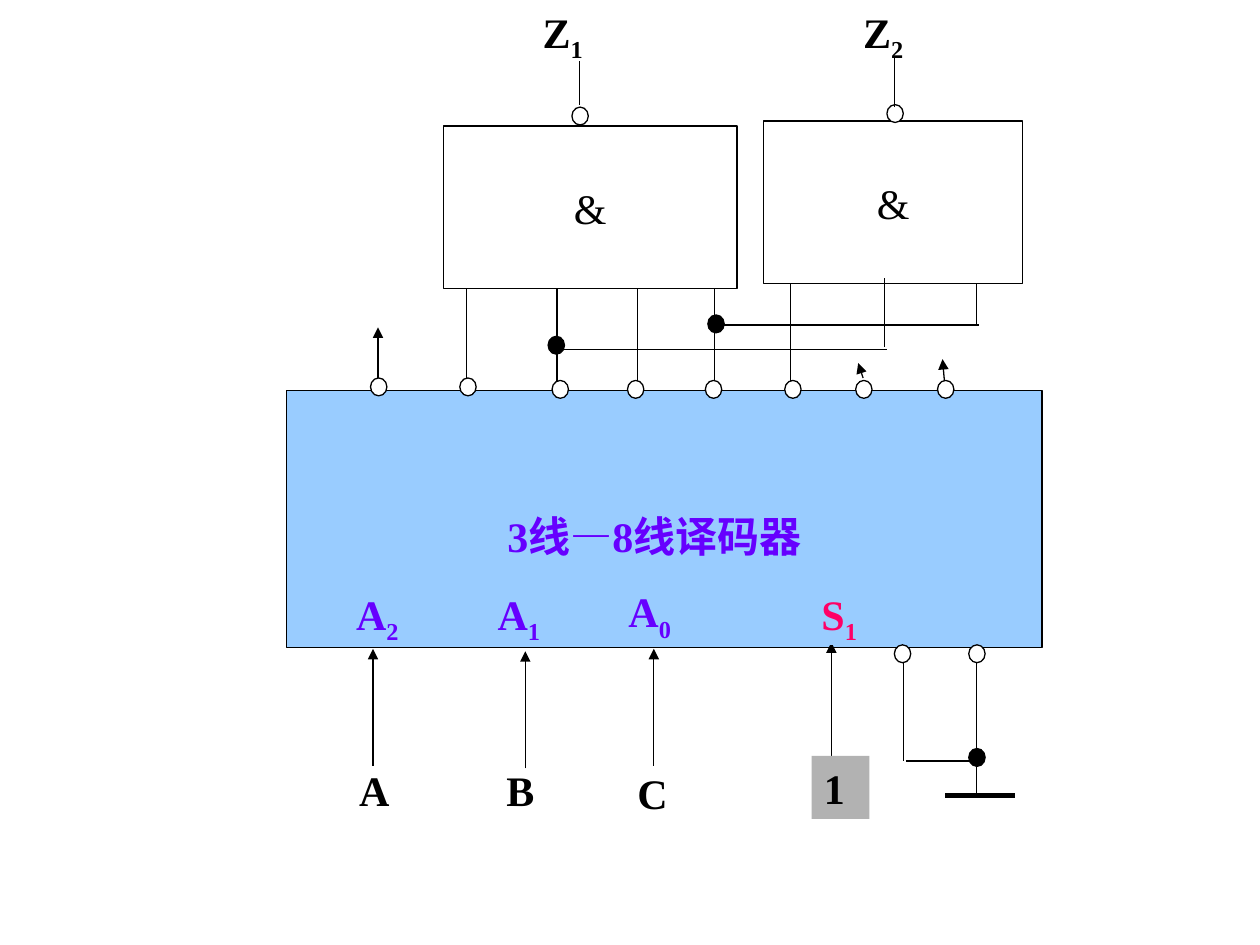
from lxml.etree import SubElement
from pptx import Presentation
from pptx.dml.color import RGBColor
from pptx.enum.shapes import MSO_CONNECTOR as Connector, MSO_SHAPE as Shape
from pptx.enum.text import MSO_ANCHOR as Anchor, PP_ALIGN as Align
from pptx.oxml.ns import qn
from pptx.util import Cm, Pt

BLACK, WHITE, SKY, GREY = "000000", "FFFFFF", "99CCFF", "B2B2B2"
VIOLET, PINK = "6600FF", "FF0066"
BUBBLE = (0.33, 0.36)
paint = RGBColor.from_string

deck = Presentation()
deck.slide_width, deck.slide_height = Cm(25.4), Cm(19.05)
page = deck.slides.add_slide(deck.slide_layouts[6])


def add_wire(x1, y1, x2, y2, arrow=False, weight=0.75):
    wire = page.shapes.add_connector(Connector.STRAIGHT, Cm(x1), Cm(y1), Cm(x2), Cm(y2))
    wire.line.color.rgb = paint(BLACK)
    wire.line.width = Pt(weight)
    if arrow:
        SubElement(wire.line._get_or_add_ln(), qn("a:tailEnd"), type="triangle")
    SubElement(wire._element.spPr, qn("a:effectLst"))


def add_box(place, text="", sub="", kind=None, fill=None, outline=False, ink=BLACK, gate=False):
    """Add a preset shape, or a text box when kind is None; sub is a subscript."""
    lengths = [Cm(value) for value in place]
    if kind is None:
        box = page.shapes.add_textbox(*lengths)
    else:
        box = page.shapes.add_shape(kind, *lengths)
        box.shadow.inherit = False
        box.fill.solid()
        box.fill.fore_color.rgb = paint(fill)
        if outline:
            box.line.color.rgb = paint(BLACK)
            box.line.width = Pt(0.75)
        else:
            box.line.fill.background()
    if not text:
        return
    frame = box.text_frame
    frame.word_wrap = not gate
    frame.vertical_anchor = Anchor.MIDDLE if gate else Anchor.TOP
    para = frame.paragraphs[0]
    para.alignment = Align.CENTER if gate else Align.LEFT
    style = {"name": "Times New Roman", "size": Pt(24), "bold": not gate}
    for part in filter(None, (text, sub)):
        span = para.add_run()
        span.text = part
        for name, value in style.items():
            setattr(span.font, name, value)
        span.font.color.rgb = paint(ink)
    if sub:
        span.font._element.set("baseline", "-25000")


# Decoder with its input and output arrows
add_box((5.77, 7.87, 15.24, 5.18), kind=Shape.RECTANGLE, fill=SKY, outline=True)
for x in (9.4, 11.23, 12.85, 14.4, 15.93):
    add_wire(x, 7.82, x, 5.46, arrow=True)
for x1, y1, x2, y2 in (
    (7.62, 7.82, 7.62, 6.6),
    (17.4, 7.62, 17.3, 7.32),
    (19.05, 7.82, 19, 7.24),
    (7.52, 15.44, 7.52, 13.08),
    (10.59, 15.49, 10.59, 13.13),
    (13.18, 15.44, 13.18, 13.08),
    (16.76, 15.34, 16.76, 12.95),
    (18.21, 15.34, 18.21, 12.95),
    (19.69, 15.98, 19.69, 13.08),
):
    add_wire(x1, y1, x2, y2, arrow=True)

# Decoder labels
add_box((9.98, 10.16, 7.14, 1.27), "3线—8线译码器", ink=VIOLET)
for digit, x, y in (("2", 6.93, 11.73), ("1", 9.78, 11.73), ("0", 12.42, 11.68)):
    add_box((x, y, 1.96, 1.27), "A", digit, ink=VIOLET)
add_box((16.31, 11.73, 1.96, 1.27), "S", "1", Shape.RECTANGLE, SKY, ink=PINK)

# Input signals
for name, x, y in (("A", 6.99, 15.29), ("B", 9.96, 15.29), ("C", 12.6, 15.34)):
    add_box((x, y, 2.06, 1.27), name)
add_box((16.36, 15.24, 1.17, 1.27), "1", kind=Shape.RECTANGLE, fill=GREY)

# AND gates and their output names
for place in ((8.94, 2.54, 5.92, 3.28), (15.39, 2.44, 5.23, 3.28)):
    add_box(place, "&", kind=Shape.RECTANGLE, fill=WHITE, outline=True, gate=True)
for digit, x in (("1", 10.69), ("2", 17.15)):
    add_box((x, 0, 3.02, 1.27), "Z", digit)

# Inversion bubbles: decoder outputs, enable inputs, gate outputs
bubbles = [(x, 7.62) for x in (7.47, 9.27)]
bubbles += [(x, 7.67) for x in (11.13, 12.65, 14.22, 15.82, 17.25, 18.9)]
bubbles += [(18.03, 13), (19.53, 13), (11.53, 2.16), (17.88, 2.11)]
for spot in bubbles:
    add_box(spot + BUBBLE, kind=Shape.OVAL, fill=WHITE, outline=True)

# Plain wires, ground bar and junction dots
for ends in (
    (11.68, 2.11, 11.68, 1.22),
    (18.03, 2.16, 18.03, 1.12),
    (14.45, 6.55, 19.74, 6.55),
    (19.69, 6.55, 19.69, 5.72),
    (11.23, 7.04, 17.88, 7.04),
    (17.83, 6.99, 17.83, 5.61),
    (18.26, 15.34, 19.69, 15.34),
):
    add_wire(*ends)
add_wire(19.05, 16.03, 20.47, 16.03, weight=3)
for spot in ((11.05, 6.78), (14.27, 6.35), (19.53, 15.09)):
    add_box(spot + BUBBLE, kind=Shape.OVAL, fill=BLACK, outline=True)

deck.save("out.pptx")
